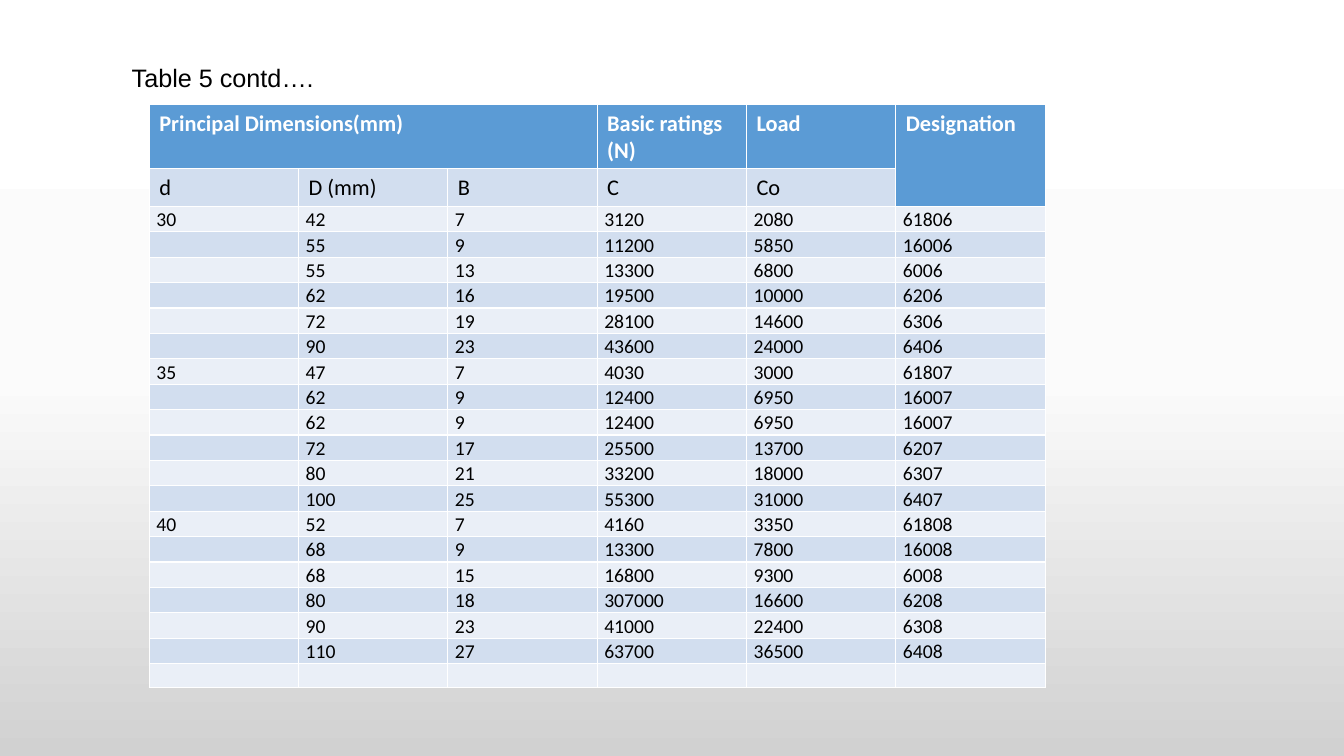
import copy

import pptx
import pptx.dml.color
import pptx.enum.text
import pptx.oxml
import pptx.oxml.ns
import pptx.util
from pptx.util import Cm

WHITE = pptx.dml.color.RGBColor(0xFF, 0xFF, 0xFF)
BLACK = pptx.dml.color.RGBColor(0x00, 0x00, 0x00)
NEAR_WHITE = pptx.dml.color.RGBColor(0xFB, 0xFB, 0xFB)
GREY = pptx.dml.color.RGBColor(0xD1, 0xD1, 0xD1)
HEADER_BLUE = pptx.dml.color.RGBColor(0x5B, 0x9B, 0xD5)
DARK_BAND = pptx.dml.color.RGBColor(0xD2, 0xDE, 0xEF)
LIGHT_BAND = pptx.dml.color.RGBColor(0xEA, 0xEF, 0xF7)

HEADERS = ["Principal Dimensions(mm)", "", "", "Basic ratings (N)", "Load", "Designation"]
SUBHEADERS = ["d", "D (mm)", "B", "C", "Co", ""]
BEARINGS = [
    ["30", "42", "7", "3120", "2080", "61806"],
    ["", "55", "9", "11200", "5850", "16006"],
    ["", "55", "13", "13300", "6800", "6006"],
    ["", "62", "16", "19500", "10000", "6206"],
    ["", "72", "19", "28100", "14600", "6306"],
    ["", "90", "23", "43600", "24000", "6406"],
    ["35", "47", "7", "4030", "3000", "61807"],
    ["", "62", "9", "12400", "6950", "16007"],
    ["", "62", "9", "12400", "6950", "16007"],
    ["", "72", "17", "25500", "13700", "6207"],
    ["", "80", "21", "33200", "18000", "6307"],
    ["", "100", "25", "55300", "31000", "6407"],
    ["40", "52", "7", "4160", "3350", "61808"],
    ["", "68", "9", "13300", "7800", "16008"],
    ["", "68", "15", "16800", "9300", "6008"],
    ["", "80", "18", "307000", "16600", "6208"],
    ["", "90", "23", "41000", "22400", "6308"],
    ["", "110", "27", "63700", "36500", "6408"],
    [""] * 6,
]


def paint_background(slide):
    """Fill the slide with a vertical three-stop gradient."""
    fill = slide.background.fill
    fill.gradient()
    fill.gradient_angle = 270
    stop_list = next(slide.element.iter(pptx.oxml.ns.qn("a:gsLst")))
    stop_list.insert(1, copy.deepcopy(stop_list[0]))
    for stop, position, color in zip(fill.gradient_stops, (0, 0.5, 1), (WHITE, NEAR_WHITE, GREY)):
        stop.position = position
        stop.color.rgb = color


def style_font(font, name, size, color, bold=False):
    """Apply typeface, size, colour and weight to a font."""
    font.name = name
    font.size = pptx.util.Pt(size)
    font.color.rgb = color
    font.bold = bold


def add_caption(slide, left, top, width, height):
    """Write the table caption at the top of the body box."""
    text_frame = slide.shapes.add_textbox(left, top, width, height).text_frame
    text_frame.word_wrap = True
    paragraph = text_frame.paragraphs[0]
    paragraph.text = "Table 5 contd…."
    paragraph.alignment = pptx.enum.text.PP_ALIGN.JUSTIFY
    paragraph.line_spacing = 1.5
    paragraph.space_before = pptx.util.Pt(10)
    style_font(paragraph.font, "Arial", 18, BLACK)


def fill_heading_cell(cell, text, background, color, bold):
    """Write one cell of the two heading rows."""
    cell.fill.solid()
    cell.fill.fore_color.rgb = background
    paragraph = cell.text_frame.paragraphs[0]
    paragraph.text = text
    style_font(paragraph.font, "Calibri", 16, color, bold)


def fill_data_cell(cell, text, background):
    """Write one tightly set data cell."""
    cell.fill.solid()
    cell.fill.fore_color.rgb = background
    cell.margin_left = cell.margin_right = Cm(0.18)
    cell.margin_top = cell.margin_bottom = 0
    paragraph = cell.text_frame.paragraphs[0]
    style_font(paragraph.font, "Calibri", 14, BLACK)
    if text:
        paragraph.text = text
        paragraph.alignment = pptx.enum.text.PP_ALIGN.JUSTIFY
        paragraph.line_spacing = 1.07
    else:
        end_properties = pptx.oxml.parse_xml(
            f'<a:endParaRPr {pptx.oxml.ns.nsdecls("a")} sz="1400"><a:latin typeface="Calibri"/></a:endParaRPr>'
        )
        cell.text_frame.paragraphs[0]._p.append(end_properties)


def add_bearing_table(slide, left, top, width, height):
    """Build the bearing table with merged headings and banded rows."""
    row_count = len(BEARINGS) + 2
    table = slide.shapes.add_table(row_count, len(HEADERS), left, top, width, height).table
    row_heights = [1.61, 0.95] + [0.64] * (len(BEARINGS) - 1) + [0.6]
    for row, row_height in zip(table.rows, row_heights):
        row.height = Cm(row_height)
    table.cell(0, 0).merge(table.cell(0, 2))
    table.cell(0, 5).merge(table.cell(1, 5))
    for column, (header, subheader) in enumerate(zip(HEADERS, SUBHEADERS)):
        fill_heading_cell(table.cell(0, column), header, HEADER_BLUE, WHITE, True)
        fill_heading_cell(table.cell(1, column), subheader, DARK_BAND, BLACK, False)
    for index, bearing in enumerate(BEARINGS):
        band = DARK_BAND if index % 2 else LIGHT_BAND
        for column, text in enumerate(bearing):
            fill_data_cell(table.cell(index + 2, column), text, band)


def main():
    """Create the slide and save it."""
    presentation = pptx.Presentation()
    presentation.slide_width = Cm(33.87)
    presentation.slide_height = Cm(19.05)
    slide = presentation.slides.add_slide(presentation.slide_layouts[6])
    paint_background(slide)
    add_caption(slide, Cm(3.07), Cm(1.07), Cm(28.47), Cm(17.22))
    add_bearing_table(slide, Cm(3.76), Cm(2.64), Cm(22.58), Cm(14.68))
    presentation.save("out.pptx")


if __name__ == "__main__":
    main()
